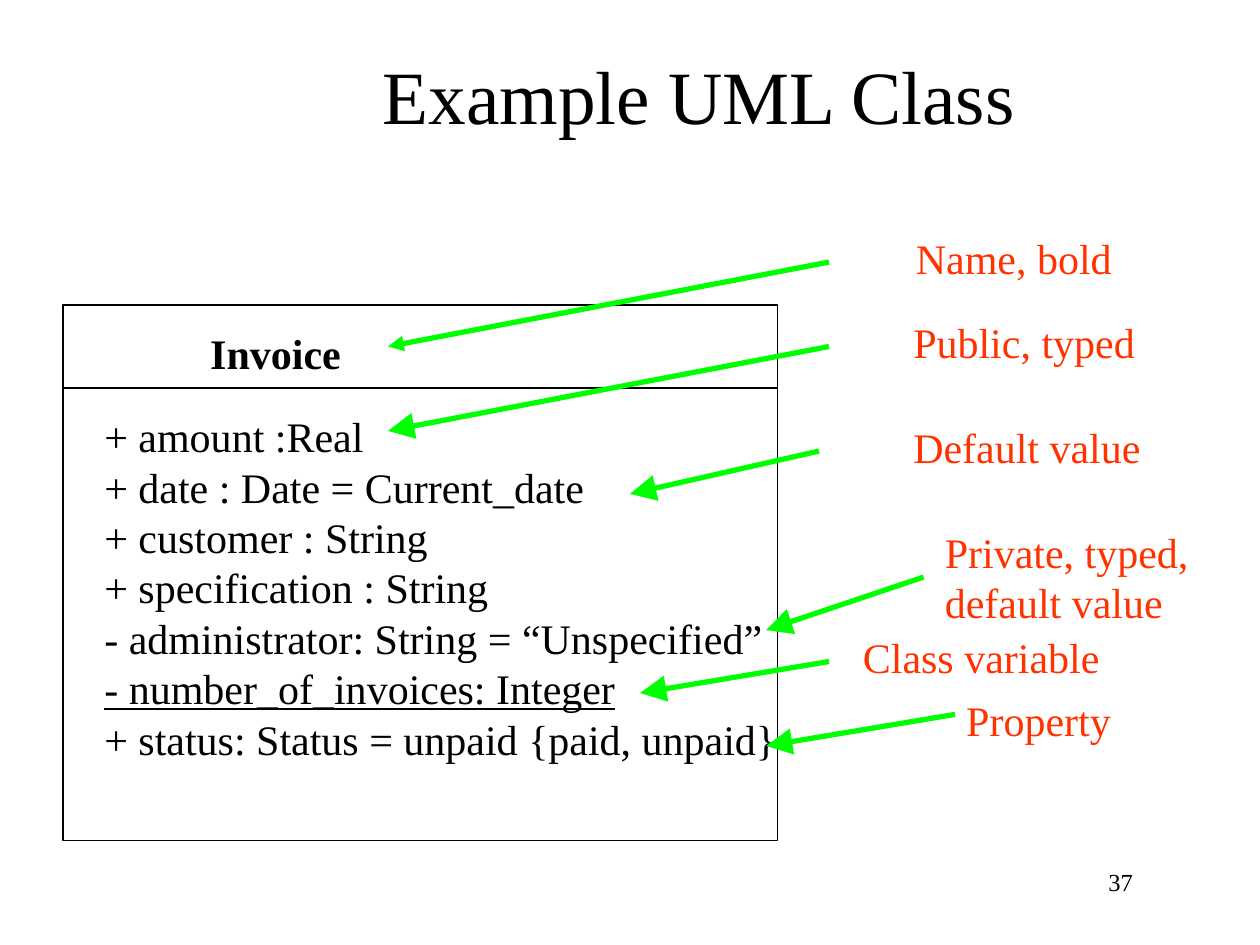
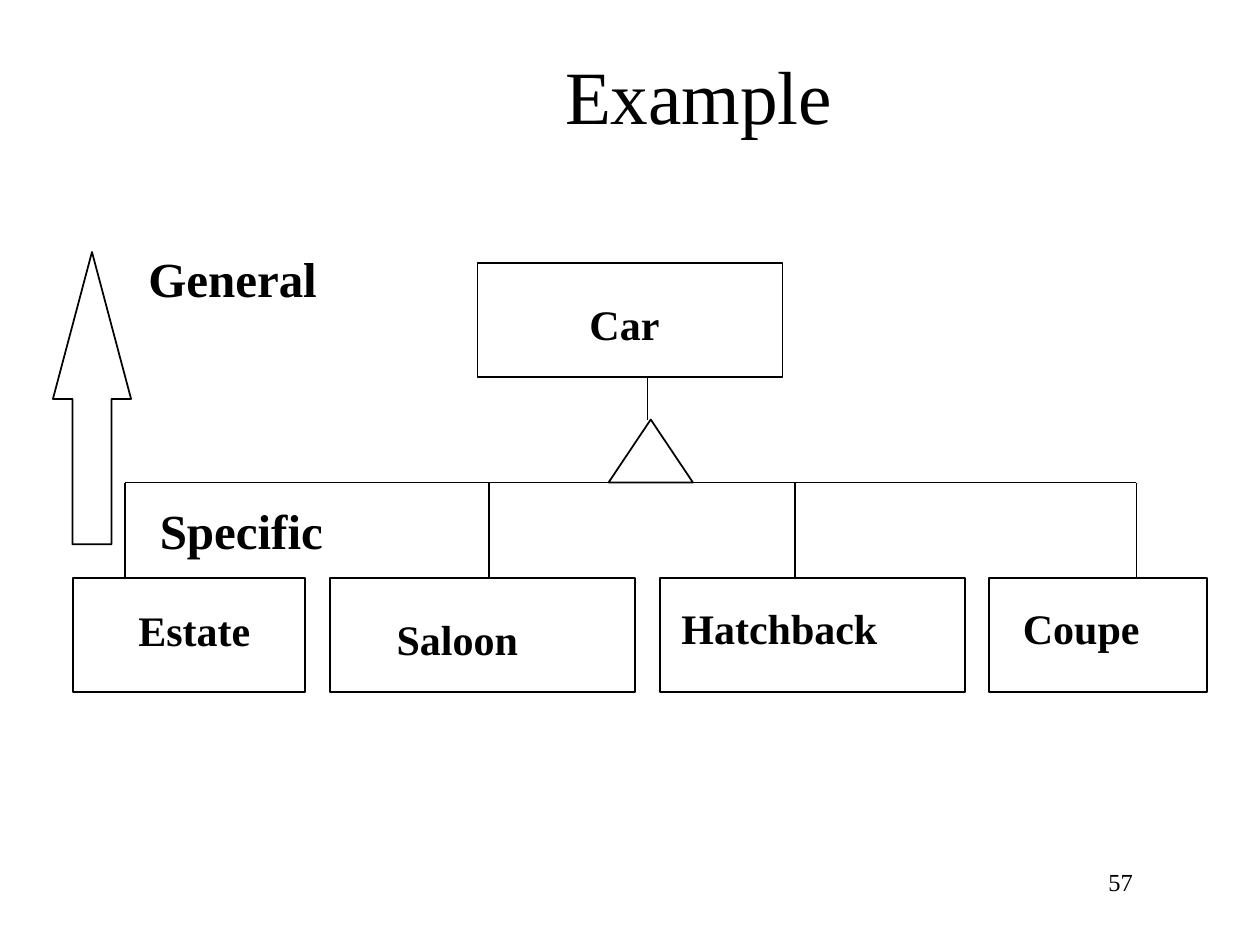
from typing import NamedTuple

from lxml.etree import SubElement
from pptx import Presentation
from pptx.dml.color import RGBColor
from pptx.enum.shapes import MSO_CONNECTOR, MSO_SHAPE
from pptx.enum.text import MSO_ANCHOR, PP_ALIGN
from pptx.oxml.ns import qn
from pptx.util import Inches, Pt

# Shared style
FONT = "Times New Roman"
BLACK = RGBColor(0x00, 0x00, 0x00)
WHITE = RGBColor(0xFF, 0xFF, 0xFF)
NOTE_RED = RGBColor(0xFF, 0x33, 0x00)
ARROW_GREEN = RGBColor(0x00, 0xFF, 0x00)
LABEL_HEIGHT = 0.5


class Area(NamedTuple):
    left: float
    top: float
    width: float
    height: float

    def lengths(self):
        return [Inches(value) for value in self]


class Style(NamedTuple):
    size: float = 24
    color: RGBColor = BLACK
    bold: bool = False
    align: PP_ALIGN = PP_ALIGN.LEFT


class Line(NamedTuple):
    start: tuple[float, float]
    end: tuple[float, float]


class Note(NamedTuple):
    text: str
    area: Area
    arrow: Line
    head: str = "lg"


class ClassBox(NamedTuple):
    name: str
    left: float
    width: float
    label_left: float
    label_top: float
    label_width: float


TITLE_AREA = Area(1.42, 0.25, 8.25, 1)
NUMBER_AREA = Area(7.17, 6.83, 1.92, 0.52)
TITLE_STYLE = Style(size=43, align=PP_ALIGN.CENTER)
NUMBER_STYLE = Style(size=14, align=PP_ALIGN.RIGHT)
NAME_STYLE = Style(bold=True)
LEVEL_STYLE = Style(size=28, bold=True)
NOTE_STYLE = Style(color=NOTE_RED)

# Invoice class
INVOICE_AREA = Area(0.5, 2.42, 5.67, 4.25)
NAME_DIVIDER = 3.08
ATTRIBUTES = [
    "+ amount :Real",
    "+ date : Date = Current_date",
    "+ customer : String",
    "+ specification : String",
    "- administrator: String = “Unspecified”",
    "- number_of_invoices: Integer",
    "+ status: Status = unpaid {paid, unpaid}",
]
CLASS_VARIABLE = 5
NOTES = [
    Note("Name, bold", Area(7.17, 1.8, 1.75, LABEL_HEIGHT),
         Line((6.58, 2.08), (3.08, 2.75)), "med"),
    Note("Public, typed", Area(7.15, 2.46, 1.96, LABEL_HEIGHT),
         Line((6.58, 2.75), (3.08, 3.42))),
    Note("Default value", Area(7.15, 3.3, 2, LABEL_HEIGHT),
         Line((6.5, 3.58), (5, 3.92))),
    Note("Class variable", Area(6.75, 4.96, 2.08, LABEL_HEIGHT),
         Line((6.58, 5.25), (5.08, 5.5))),
    Note("Private, typed,\ndefault value", Area(7.4, 4.13, 2.22, 0.9),
         Line((7.33, 4.58), (6.08, 5))),
    Note("Property", Area(7.57, 5.46, 1.35, LABEL_HEIGHT),
         Line((7.58, 5.67), (6.08, 5.92))),
]

# Car hierarchy
BOX_HEIGHT = 0.9
PARENT_TOP = 2.09
CHILD_TOP = 4.59
BRANCH_TOP = 3.83
BRANCHES = [0.99, 3.88, 6.31, 9.02]
PARENT = ClassBox("Car", 3.79, 2.42, 4.58, 2.32, 0.76)
CHILDREN = [
    ClassBox("Estate", 0.58, 1.84, 1, 4.75, 1.09),
    ClassBox("Saloon", 2.62, 2.42, 3.05, 4.82, 1.17),
    ClassBox("Hatchback", 5.24, 2.42, 5.31, 4.73, 1.76),
    ClassBox("Coupe", 7.85, 1.73, 8.02, 4.73, 1.13),
]


def format_text(frame, style: Style) -> None:
    for para in frame.paragraphs:
        para.alignment = style.align
        for span in para.runs:
            span.font.name = FONT
            span.font.size = Pt(style.size)
            span.font.bold = style.bold
            span.font.color.rgb = style.color


def add_text(page, text: str, area: Area, style: Style):
    box = page.shapes.add_textbox(*area.lengths())
    frame = box.text_frame
    frame.text = text
    frame.word_wrap = True
    # Left-aligned labels may use the full width, so each line stays whole
    if style.align == PP_ALIGN.LEFT:
        frame.margin_right = Inches(0)
    format_text(frame, style)
    return box


def add_outline(page, kind: MSO_SHAPE, area: Area, weight: float = 1):
    shape = page.shapes.add_shape(kind, *area.lengths())
    shape.shadow.inherit = False
    shape.fill.background()
    shape.line.color.rgb = BLACK
    shape.line.width = Pt(weight)
    return shape


def add_line(page, line: Line, color: RGBColor = BLACK, weight: float = 1,
             head: str = "") -> None:
    ends = [Inches(value) for value in (*line.start, *line.end)]
    connector = page.shapes.add_connector(MSO_CONNECTOR.STRAIGHT, *ends)
    connector.line.color.rgb = color
    connector.line.width = Pt(weight)
    if head:
        SubElement(connector.line._get_or_add_ln(), qn("a:tailEnd"),
                   type="triangle", w=head, len=head)
    SubElement(connector._element.spPr, qn("a:effectLst"))


def add_page(deck, title: str, number: int):
    page = deck.slides.add_slide(deck.slide_layouts[5])
    page.background.fill.solid()
    page.background.fill.fore_color.rgb = WHITE
    heading = page.shapes.title
    heading.left, heading.top, heading.width, heading.height = TITLE_AREA.lengths()
    heading.text_frame.text = title
    heading.text_frame.vertical_anchor = MSO_ANCHOR.MIDDLE
    format_text(heading.text_frame, TITLE_STYLE)
    add_text(page, str(number), NUMBER_AREA, NUMBER_STYLE)
    return page


def add_class_box(page, item: ClassBox, top: float) -> None:
    add_outline(page, MSO_SHAPE.RECTANGLE,
                Area(item.left, top, item.width, BOX_HEIGHT))
    label = Area(item.label_left, item.label_top, item.label_width, LABEL_HEIGHT)
    add_text(page, item.name, label, NAME_STYLE)


def build_invoice_page(deck) -> None:
    page = add_page(deck, "Example UML Class", 37)
    # Class with its name and attributes
    add_outline(page, MSO_SHAPE.RECTANGLE, INVOICE_AREA, 0.75)
    right = INVOICE_AREA.left + INVOICE_AREA.width
    add_line(page, Line((INVOICE_AREA.left, NAME_DIVIDER), (right, NAME_DIVIDER)),
             weight=0.75)
    add_text(page, "Invoice", Area(1.57, 2.55, 1.23, LABEL_HEIGHT), NAME_STYLE)
    attributes = add_text(page, "\n".join(ATTRIBUTES),
                          Area(0.73, 3.21, 5.53, 2.9), Style())
    variable = attributes.text_frame.paragraphs[CLASS_VARIABLE]
    variable.runs[0].font.underline = True
    # Explanations pointing at the class
    for note in NOTES:
        add_line(page, note.arrow, ARROW_GREEN, 3, note.head)
        add_text(page, note.text, note.area, NOTE_STYLE)


def build_car_page(deck) -> None:
    page = add_page(deck, "Example", 57)
    # Classes
    add_class_box(page, PARENT, PARENT_TOP)
    for child in CHILDREN:
        add_class_box(page, child, CHILD_TOP)
    # Inheritance tree
    add_line(page, Line((BRANCHES[0], BRANCH_TOP), (BRANCHES[-1], BRANCH_TOP)))
    for branch in BRANCHES:
        add_line(page, Line((branch, BRANCH_TOP), (branch, CHILD_TOP)))
    add_line(page, Line((5.14, 3.33), (5.14, PARENT_TOP + BOX_HEIGHT)))
    add_outline(page, MSO_SHAPE.ISOSCELES_TRIANGLE, Area(4.83, 3.33, 0.67, 0.5))
    # Direction of generalisation
    arrow = add_outline(page, MSO_SHAPE.UP_ARROW, Area(0.42, 2, 0.62, 2.32))
    arrow.adjustments[0] = 0.5
    arrow.adjustments[1] = 1.88
    add_text(page, "General", Area(1.08, 1.92, 1.54, 0.57), LEVEL_STYLE)
    add_text(page, "Specific", Area(1.17, 3.92, 1.5, 0.57), LEVEL_STYLE)


def main() -> None:
    deck = Presentation()
    deck.slide_width = Inches(10)
    deck.slide_height = Inches(7.5)
    build_invoice_page(deck)
    build_car_page(deck)
    deck.save("out.pptx")


if __name__ == "__main__":
    main()
